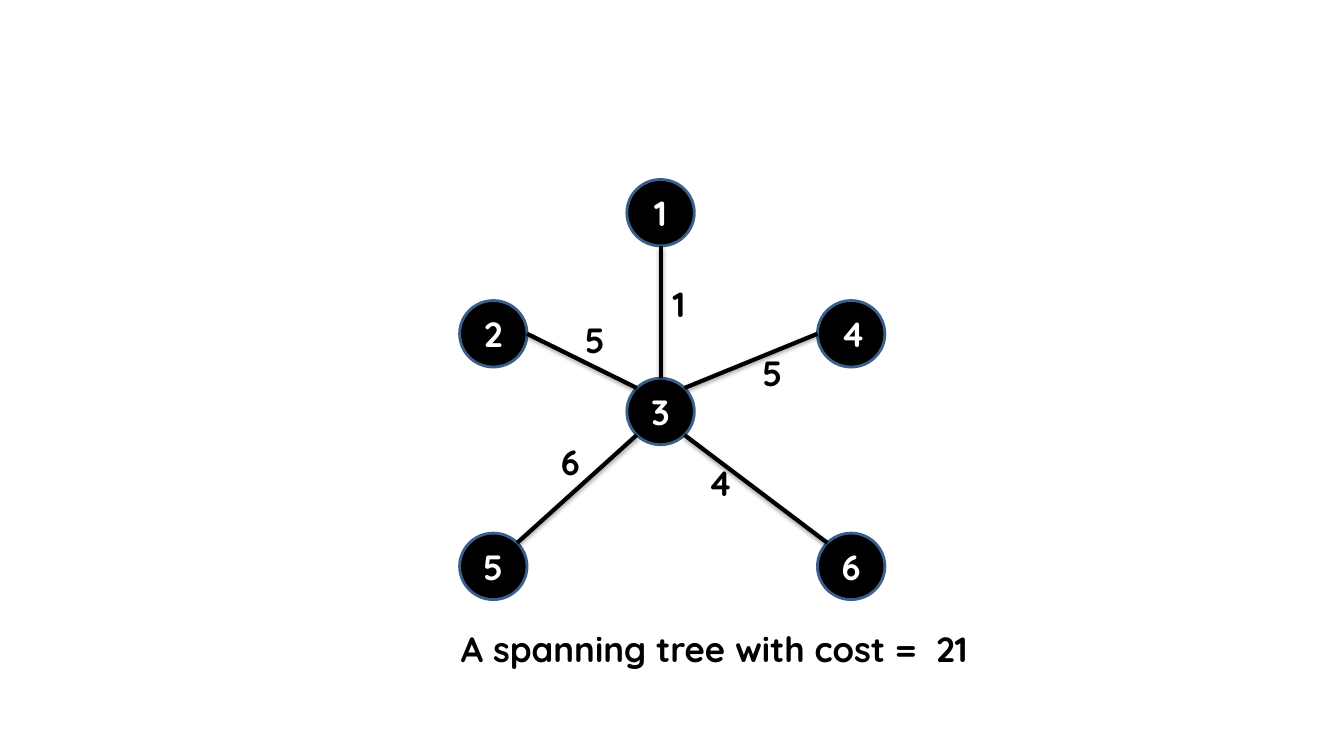
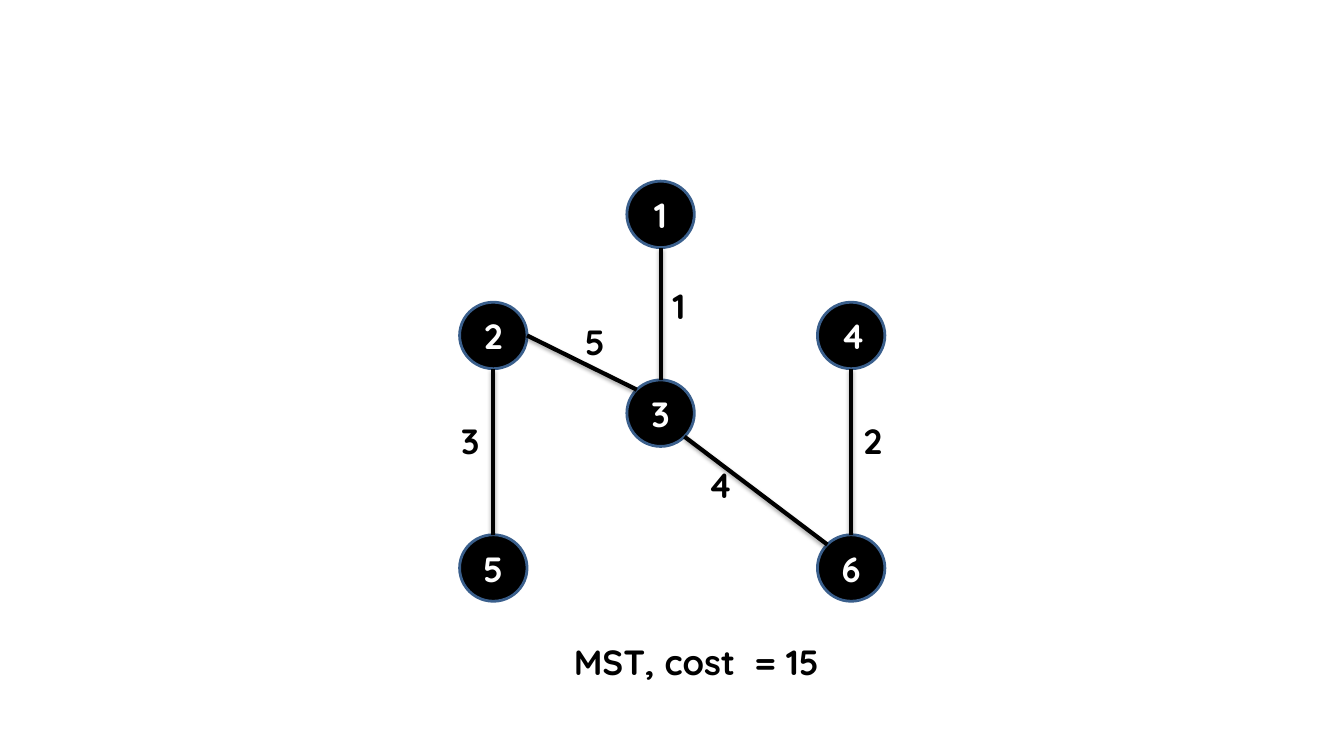
from math import cos, pi, sin

from lxml import etree
from pptx import Presentation
from pptx.dml.color import RGBColor
from pptx.enum import shapes, text
from pptx.oxml.ns import qn
from pptx.util import Pt

INK = {"black": "000000", "white": "FFFFFF", "rim": "3A5F8C"}
FONT = "Quicksand"
WIDE, HIGH = 48.2, 47.5  # node size
LABEL = 34.6, 39.6

# Node name: left, top
NODES = {
    "1": (447.8, 128.2),
    "2": (328.3, 214.7),
    "3": (447.8, 270.2),
    "4": (583.9, 214.7),
    "6": (583.9, 380.8),
    "5": (328.3, 380.8),
}

# Sites of an ellipse, counterclockwise from the top
TOP, TOP_LEFT, LEFT, LOW_LEFT, BOTTOM, LOW_RIGHT, RIGHT, TOP_RIGHT = range(8)

# Edge: start site, end site, weight, label left, label top
EDGES = {
    "31": (TOP, BOTTOM, "1", 470.9, 197.2),
    "43": (LEFT, TOP_RIGHT, "5", 535, 246.2),
    "32": (TOP_LEFT, RIGHT, "5", 408.2, 222.6),
    "53": (TOP_RIGHT, LOW_LEFT, "6", 391, 309.6),
    "52": (TOP, BOTTOM, "3", 319.7, 294),
    "64": (TOP, BOTTOM, "2", 607, 294),
    "63": (TOP_LEFT, LOW_RIGHT, "4", 496.1, 325.2),
}

TREES = [
    {"edges": ["31", "43", "32", "53", "63"], "shift": 0,
     "note": "A spanning tree with cost =  21", "box": (319.7, 443.5, 384.5, 39.6)},
    {"edges": ["31", "32", "52", "64", "63"], "shift": 1.2,
     "note": "MST, cost  = 15", "box": (400.3, 452.9, 199.4, 39.6)},
]


def rgb(name):
    return RGBColor.from_string(INK[name])


def write(shape, words, color="black", align=text.PP_ALIGN.LEFT,
          anchor=text.MSO_ANCHOR.TOP, wrap=False, fit=text.MSO_AUTO_SIZE.SHAPE_TO_FIT_TEXT):
    frame = shape.text_frame
    frame.margin_left = frame.margin_right = Pt(9.6)
    frame.margin_top = frame.margin_bottom = Pt(4.8)
    frame.word_wrap, frame.auto_size = wrap, fit
    frame.vertical_anchor = anchor
    par = frame.paragraphs[0]
    par.alignment = align
    run = par.add_run()
    run.text = words
    run.font.name, run.font.size, run.font.bold = FONT, Pt(25), True
    run.font.color.rgb = rgb(color)


def label(slide, words, *box):
    write(slide.shapes.add_textbox(*map(Pt, box)), words)


def node(slide, name, left, top):
    oval = slide.shapes.add_shape(
        shapes.MSO_SHAPE.OVAL, Pt(left), Pt(top), Pt(WIDE), Pt(HIGH))
    oval.shadow.inherit = False
    oval.fill.solid()
    oval.fill.fore_color.rgb = rgb("black")
    oval.line.color.rgb, oval.line.width = rgb("rim"), Pt(2)
    write(oval, name, "white", text.PP_ALIGN.CENTER, text.MSO_ANCHOR.MIDDLE,
          True, text.MSO_AUTO_SIZE.NONE)
    return oval


def point(oval, site):
    """Return where a site lies on the rim of an oval."""
    turn = site * pi / 4
    return (int(oval.left + oval.width * (1 - sin(turn)) / 2),
            int(oval.top + oval.height * (1 - cos(turn)) / 2))


def shade(line):
    effects = etree.SubElement(line._element.spPr, qn("a:effectLst"))
    shadow = etree.SubElement(effects, qn("a:outerShdw"), blurRad=str(Pt(3.1)),
                              dist=str(Pt(1.8)), dir="5400000", rotWithShape="0")
    color = etree.SubElement(shadow, qn("a:srgbClr"), val=INK["black"])
    etree.SubElement(color, qn("a:alpha"), val="35000")


def join(slide, start, end, first, last):
    """Draw an edge and glue it to the sites of both ovals."""
    line = slide.shapes.add_connector(
        shapes.MSO_CONNECTOR.STRAIGHT, *point(start, first), *point(end, last))
    line.line.color.rgb, line.line.width = rgb("black"), Pt(3)
    shade(line)
    glue = line._element.nvCxnSpPr.cNvCxnSpPr
    for tag, oval, site in (("a:stCxn", start, first), ("a:endCxn", end, last)):
        etree.SubElement(glue, qn(tag), id=str(oval.shape_id), idx=str(site))


def draw(slide, tree):
    shift = tree["shift"]
    ovals = {name: node(slide, name, left, top + shift)
             for name, (left, top) in NODES.items()}
    for edge in tree["edges"]:
        start, end = edge
        join(slide, ovals[start], ovals[end], *EDGES[edge][:2])
    for edge in tree["edges"]:
        weight, left, top = EDGES[edge][2:]
        label(slide, weight, left, top + shift, *LABEL)
    label(slide, tree["note"], *tree["box"])


def main():
    deck = Presentation()
    deck.slide_width, deck.slide_height = Pt(960), Pt(540)
    for tree in TREES:
        draw(deck.slides.add_slide(deck.slide_layouts[6]), tree)
    deck.save("out.pptx")


if __name__ == "__main__":
    main()
